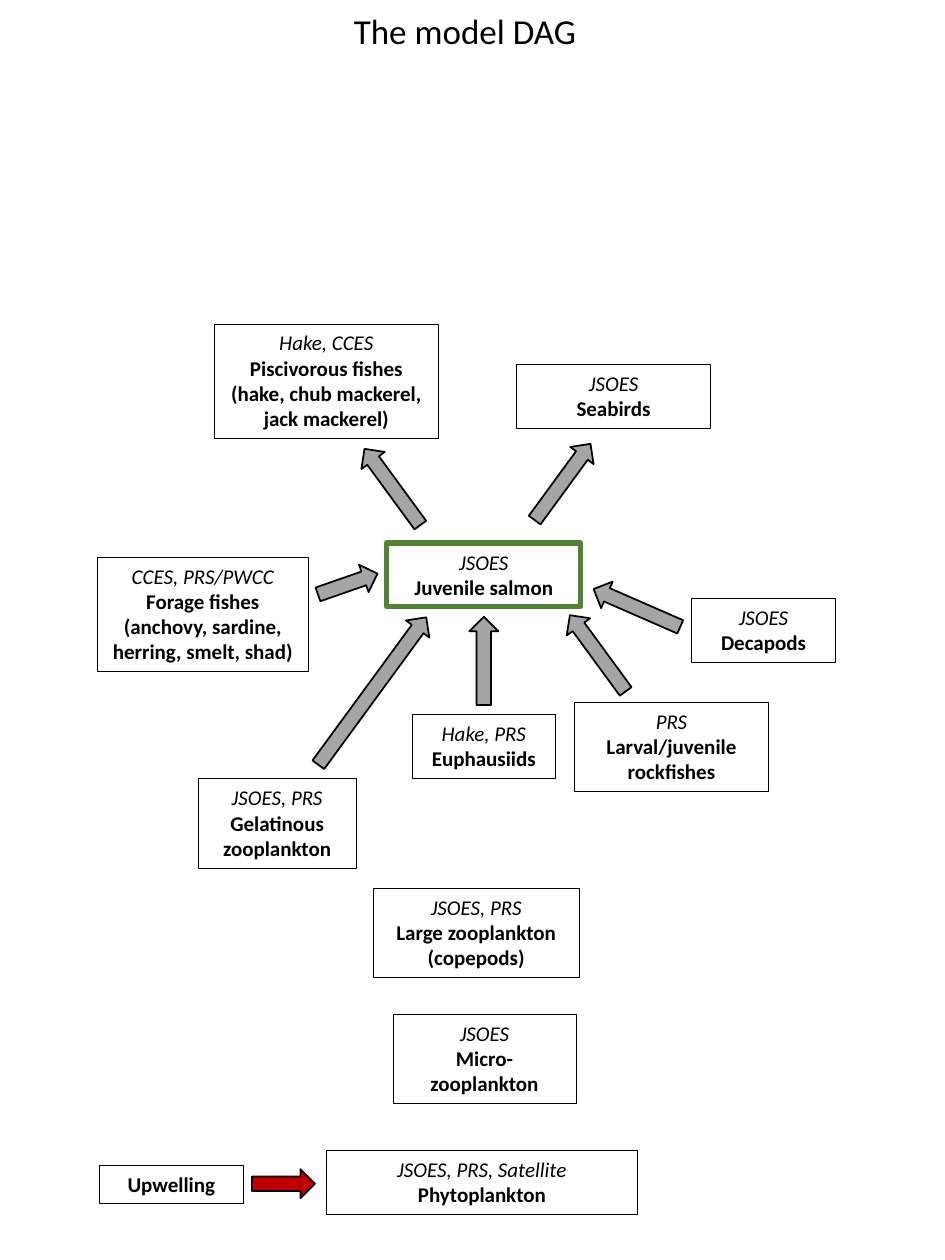
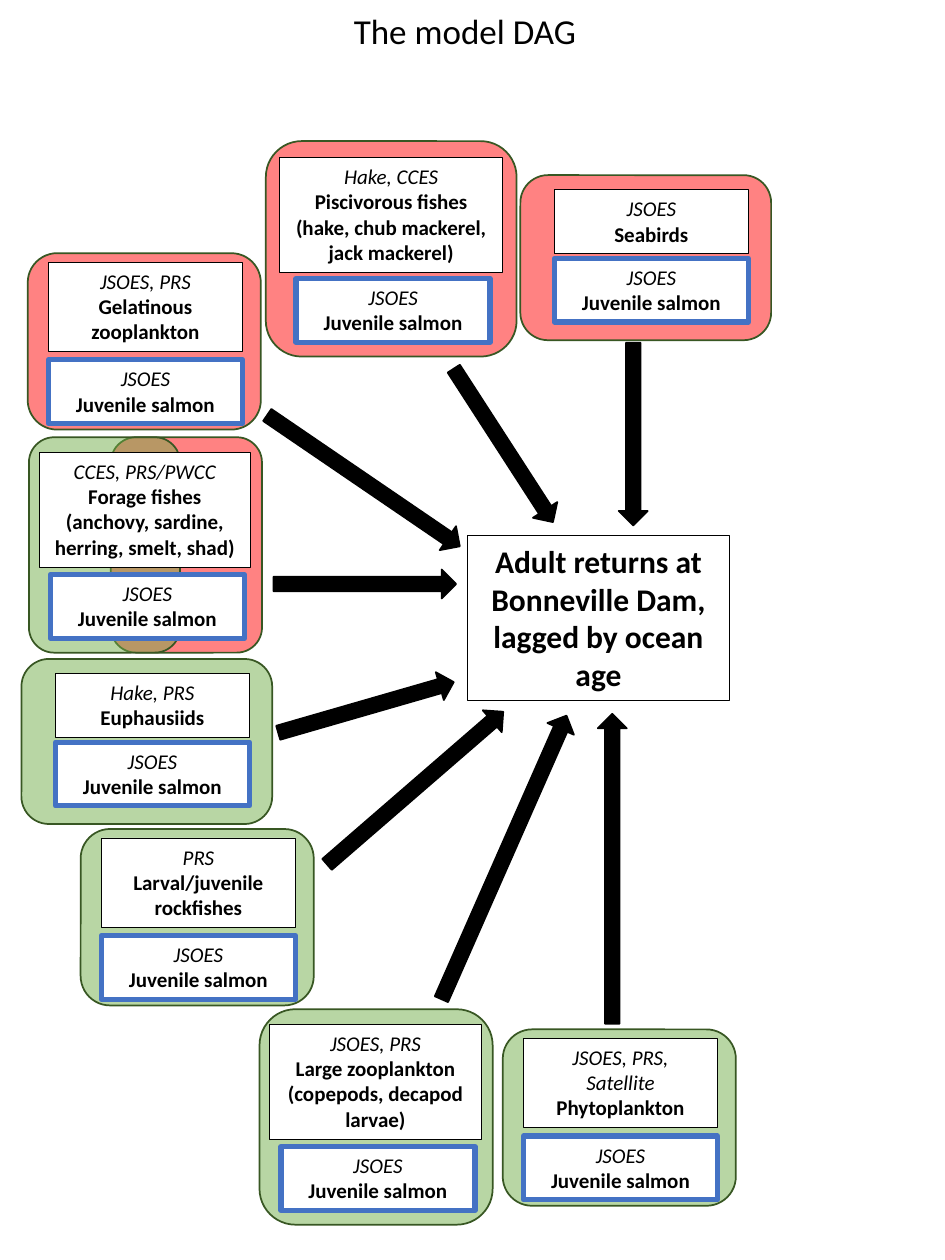
from dataclasses import dataclass

from lxml import etree
from pptx import Presentation
from pptx import util as u
from pptx.dml.color import RGBColor
from pptx.enum import shapes, text
from pptx.oxml import ns


@dataclass(frozen=True)
class Theme:
    """Colours and type shared by both slides."""
    font: str = "Calibri"
    title_size: int = 20
    outcome_size: int = 18
    label_size: int = 12
    ink: str = "000000"
    paper: str = "FFFFFF"
    harm: str = "FF0000"
    benefit: str = "70AD47"
    panel_edge: str = "385723"
    salmon: str = "4472C4"
    focal_salmon: str = "548235"
    link: str = "A5A5A5"
    driver: str = "C00000"
    tint_alpha: int = 49


THEME = Theme()
WIDTH, HEIGHT = u.Inches(7.5), u.Inches(10)
COLUMN, ROW = WIDTH / 75, HEIGHT / 100
SALMON_WIDTH = 15.4
ARROW_WIDTH = 2.3
SPLIT_WIDTH = 12


@dataclass(frozen=True)
class PanelLayout:
    """Panel size and offsets of its two labels, in columns and rows."""
    width: float
    height: float
    lines: int
    label: tuple
    label_width: float
    salmon: tuple


SHORT = PanelLayout(19.9, 13.1, 2, (2.7, 1.15), 15.4, (2.7, 6.6))
MEDIUM = PanelLayout(18.5, 14, 3, (1.65, 0.7), 15.4, (1.65, 8.45))
TALL = PanelLayout(18.5, 17.1, 4, (0.8, 1.2), 16.8, (1.7, 10.9))
WIDE = PanelLayout(19.9, 17.1, 4, (1.1, 1.3), 17.7, (2.4, 10.9))

FOOD_WEB = [
    ("Hake, PRS", "Euphausiids", 32.7, 56.7, 11.4, 2),
    ("JSOES, PRS", "Gelatinous zooplankton", 15.7, 61.8, 12.6, 3),
    ("CCES, PRS/PWCC", "Forage fishes (anchovy, sardine, herring, smelt, shad)",
     7.7, 44.2, 16.8, 4),
    ("JSOES, PRS, Satellite", "Phytoplankton", 25.9, 91.3, 24.7, 2),
    ("JSOES", "Micro-zooplankton", 31.2, 80.5, 14.5, 3),
    ("PRS", "Larval/juvenile rockfishes", 45.6, 55.7, 15.4, 3),
    ("JSOES, PRS", "Large zooplankton (copepods)", 29.6, 70.5, 16.4, 3),
    ("JSOES", "Seabirds", 41, 28.9, 15.4, 2),
    ("Hake, CCES", "Piscivorous fishes (hake, chub mackerel, jack mackerel)",
     17, 25.7, 17.8, 4),
    ("JSOES", "Decapods", 54.9, 47.5, 11.4, 2),
    ("", "Upwelling", 7.9, 92.5, 11.4, 1),
]
SALMON_LINKS = [
    (31.15, 38.65, 7.5, 233.8),
    (44.65, 38.25, 7.5, 306.2),
    (27.6, 46.35, 5, 340.8),
    (38.4, 52.45, 7, 270),
    (47.45, 51.85, 7.5, 233.8),
    (29.55, 54.85, 14.5, 306.2),
    (50.55, 48.25, 7.5, 203.6),
]
UPWELLING_LINK = (22.5, 93.95, 5, 0)

PANELS = [
    ("CCES, PRS/PWCC", "Forage fishes (anchovy, sardine, herring, smelt, shad)",
     2.3, 34.7, TALL, (THEME.harm, THEME.benefit)),
    ("Hake, CCES", "Piscivorous fishes (hake, chub mackerel, jack mackerel)",
     21.1, 11.2, WIDE, (THEME.harm,)),
    ("JSOES, PRS", "Large zooplankton (copepods, decapod larvae)",
     20.6, 80.1, TALL, (THEME.benefit,)),
    ("JSOES", "Seabirds", 41.3, 13.9, SHORT, (THEME.harm,)),
    ("PRS", "Larval/juvenile rockfishes", 6.4, 65.8, MEDIUM, (THEME.benefit,)),
    ("Hake, PRS", "Euphausiids", 1.7, 52.3, SHORT, (THEME.benefit,)),
    ("JSOES, PRS", "Gelatinous zooplankton", 2.2, 20.1, MEDIUM, (THEME.harm,)),
    ("JSOES, PRS, Satellite", "Phytoplankton", 39.9, 81.7, MEDIUM, (THEME.benefit,)),
]
RETURN_LINKS = [
    (29.05, 56.15, 14.5, 343.9),
    (28.95, 46.35, 14.5, 0),
    (28.85, 38.15, 18.5, 34.3),
    (32.95, 62.55, 18.5, 319.1),
    (40, 68.05, 24.6, 293.8),
    (48.6, 68.95, 24.6, 270),
    (39.95, 35.35, 14.5, 57.1),
    (50.25, 34.45, 14.5, 90),
]


def place(left, top, width, height):
    """Turn columns and rows into slide lengths."""
    return (round(left * COLUMN), round(top * ROW),
            round(width * COLUMN), round(height * ROW))


def paint(part, fill, edge, weight):
    """Set fill and outline; a fill of None leaves the part clear."""
    if fill:
        part.fill.solid()
        part.fill.fore_color.rgb = RGBColor.from_string(fill)
    else:
        part.fill.background()
    part.line.color.rgb = RGBColor.from_string(edge)
    part.line.width = u.Pt(weight)


def write(paragraph, words, size, bold=False, italic=False):
    """Add one styled run."""
    run = paragraph.add_run()
    run.text = words
    run.font.name, run.font.size = THEME.font, u.Pt(size)
    run.font.bold, run.font.italic = bold, italic
    run.font.color.rgb = RGBColor.from_string(THEME.ink)


def text_frame(canvas, box, wrap=True):
    """Add a text box and return it with its frame."""
    holder = canvas.add_textbox(*place(*box))
    frame = holder.text_frame
    frame.word_wrap = wrap
    frame.auto_size = text.MSO_AUTO_SIZE.SHAPE_TO_FIT_TEXT
    return holder, frame


def add_label(canvas, survey, group, left, top, width, lines,
              edge=THEME.ink, weight=0.25):
    """Draw a boxed species group under the surveys that sampled it."""
    holder, frame = text_frame(canvas, (left, top, width, 1 + 2.03 * lines))
    paint(holder, THEME.paper, edge, weight)
    paragraph = frame.paragraphs[0]
    if survey:
        write(paragraph, survey, THEME.label_size, italic=True)
        paragraph.alignment = text.PP_ALIGN.CENTER
        paragraph = frame.add_paragraph()
    write(paragraph, group, THEME.label_size, bold=True)
    paragraph.alignment = text.PP_ALIGN.CENTER


def add_salmon(canvas, left, top, edge):
    """Draw the juvenile salmon label with its heavy outline."""
    add_label(canvas, "JSOES", "Juvenile salmon", left, top, SALMON_WIDTH, 2, edge, 3)


def add_arrow(canvas, center_x, center_y, length, heading, fill):
    """Draw a block arrow about its centre, turned to its heading."""
    arrow = canvas.add_shape(
        shapes.MSO_SHAPE.RIGHT_ARROW,
        *place(center_x - length / 2, center_y - ARROW_WIDTH / 2, length, ARROW_WIDTH))
    arrow.rotation = heading
    arrow.shadow.inherit = False
    paint(arrow, fill, THEME.ink, 1)


def add_tint(canvas, box, color):
    """Draw a translucent rounded backdrop."""
    backdrop = canvas.add_shape(shapes.MSO_SHAPE.ROUNDED_RECTANGLE, *place(*box))
    backdrop.shadow.inherit = False
    paint(backdrop, color, THEME.panel_edge, 1)
    swatch = backdrop.fill._xPr.find(ns.qn("a:solidFill"))[0]
    etree.SubElement(swatch, ns.qn("a:alpha"), val=str(THEME.tint_alpha * 1000))


def add_panel(canvas, survey, group, left, top, layout, tints):
    """Group a species label with salmon on one or two tinted backdrops."""
    panel = canvas.add_group_shape().shapes
    tint_width = layout.width if len(tints) == 1 else SPLIT_WIDTH
    offsets = (layout.width - tint_width, 0)
    for color, offset in zip(tints, offsets):
        add_tint(panel, (left + offset, top, tint_width, layout.height), color)
    label_x, label_y = layout.label
    salmon_x, salmon_y = layout.salmon
    add_label(panel, survey, group, left + label_x, top + label_y,
              layout.label_width, layout.lines)
    add_salmon(panel, left + salmon_x, top + salmon_y, THEME.salmon)


def add_outcome(canvas, box):
    """Draw the box for adult returns."""
    holder, frame = text_frame(canvas, box)
    paint(holder, None, THEME.ink, 0.75)
    paragraph = frame.paragraphs[0]
    paragraph.alignment = text.PP_ALIGN.CENTER
    write(paragraph, "Adult returns at Bonneville Dam, lagged by ocean age",
          THEME.outcome_size, bold=True)


def start_slide(deck):
    """Add a blank slide with the shared title and return its shapes."""
    canvas = deck.slides.add_slide(deck.slide_layouts[6]).shapes
    frame = text_frame(canvas, (27.1, 0.3, 20.7, 4.4), wrap=False)[1]
    write(frame.paragraphs[0], "The model DAG", THEME.title_size)
    return canvas


def build_food_web(deck):
    """Build the slide of links to and from juvenile salmon."""
    canvas = start_slide(deck)
    for label in FOOD_WEB:
        add_label(canvas, *label)
    add_salmon(canvas, 30.7, 43.1, THEME.focal_salmon)
    for link in SALMON_LINKS:
        add_arrow(canvas, *link, THEME.link)
    add_arrow(canvas, *UPWELLING_LINK, THEME.driver)


def build_adult_returns(deck):
    """Build the slide of links from salmon interactions to adult returns."""
    canvas = start_slide(deck)
    for panel in PANELS:
        add_panel(canvas, *panel)
    add_outcome(canvas, (37.1, 42.5, 20.8, 13.1))
    for link in RETURN_LINKS:
        add_arrow(canvas, *link, THEME.ink)


def main():
    """Build and save the deck."""
    deck = Presentation()
    deck.slide_width, deck.slide_height = WIDTH, HEIGHT
    build_food_web(deck)
    build_adult_returns(deck)
    deck.save("out.pptx")


if __name__ == "__main__":
    main()
